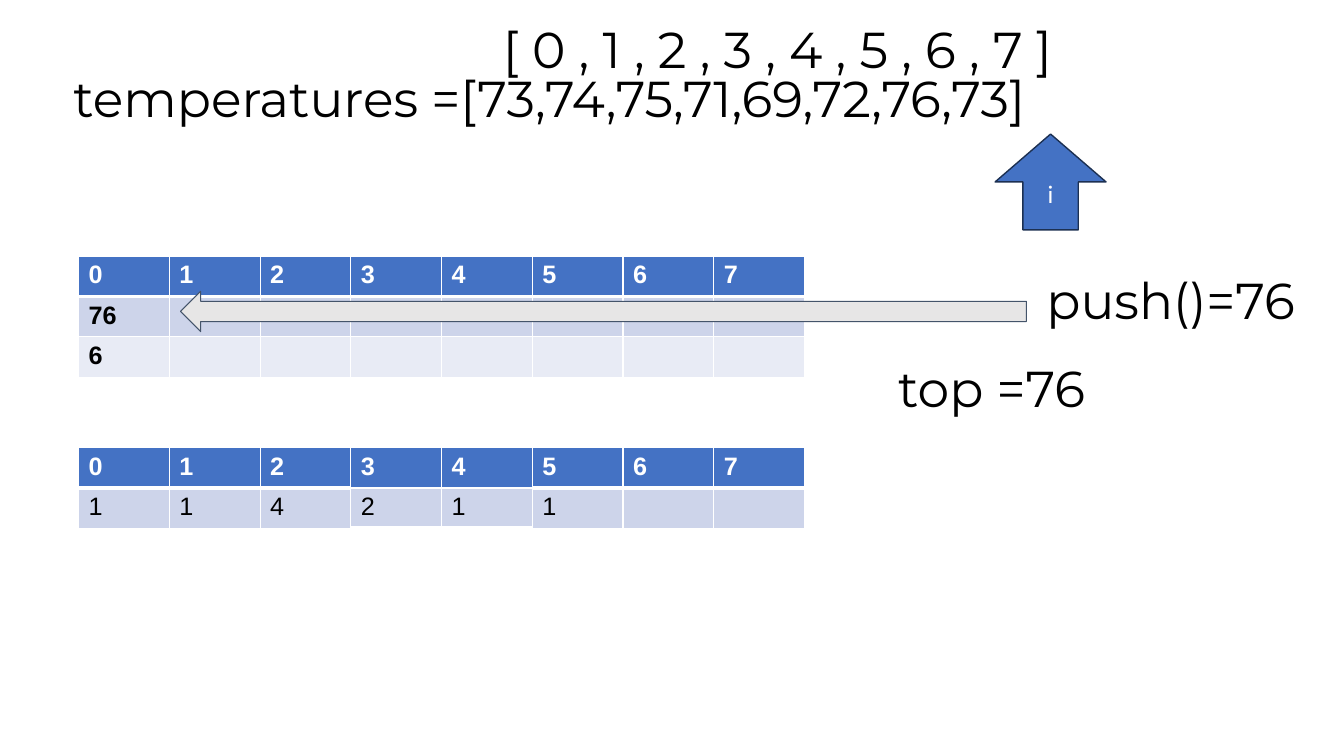
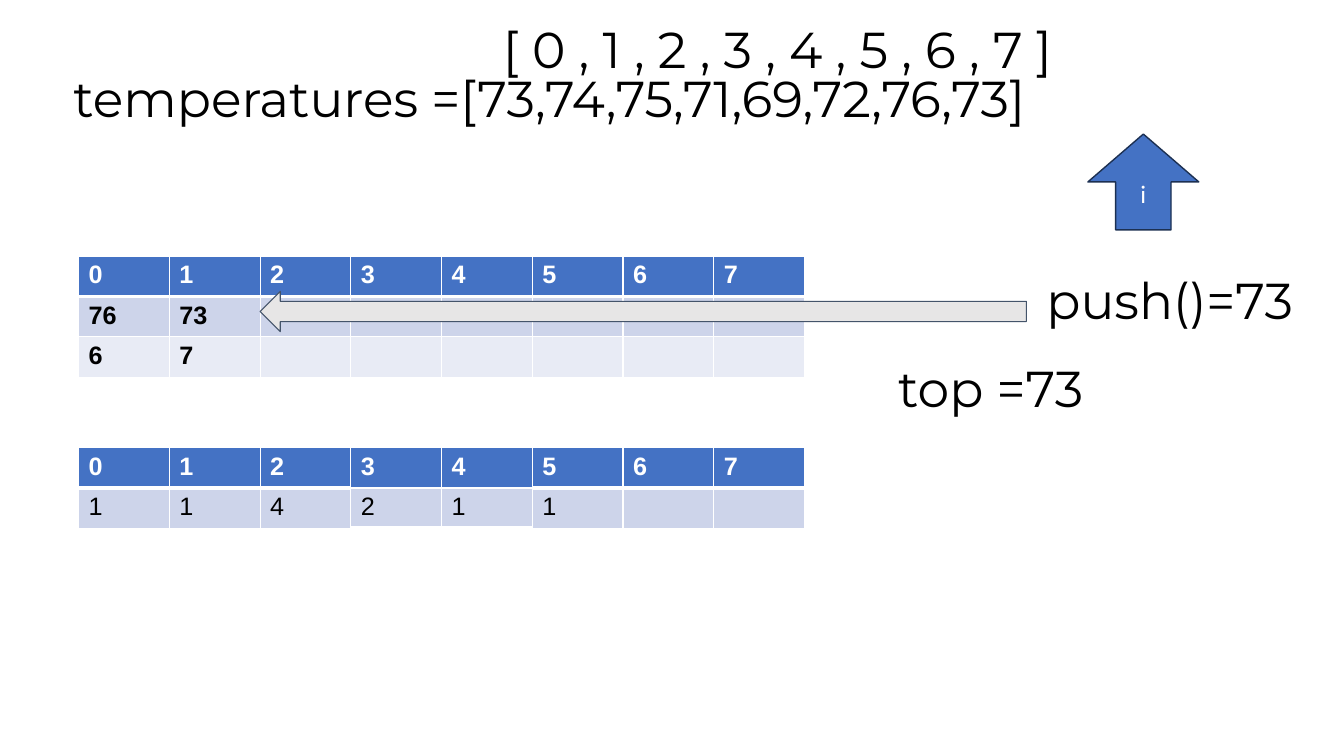
from dataclasses import dataclass

from lxml import etree
from pptx import Presentation
from pptx.dml.color import RGBColor
from pptx.enum.shapes import MSO_SHAPE
from pptx.enum.text import MSO_ANCHOR, PP_ALIGN
from pptx.oxml.ns import qn
from pptx.util import Inches, Pt

UP_ARROW = MSO_SHAPE.UP_ARROW
LEFT_ARROW = MSO_SHAPE.LEFT_ARROW
TOP, MIDDLE = MSO_ANCHOR.TOP, MSO_ANCHOR.MIDDLE
LEFT, CENTER = PP_ALIGN.LEFT, PP_ALIGN.CENTER


@dataclass(frozen=True)
class Theme:
    ink: str = "000000"
    paper: str = "FFFFFF"
    accent: str = "4472C4"
    accent_line: str = "1C3052"
    bands: tuple = ("CDD4EA", "E8EBF5")
    push_fill: str = "E7E6E6"
    push_line: str = "44546A"
    display_font: str = "Montserrat"
    table_font: str = "Arial"
    shape_font: str = "Calibri"
    display_size: int = 36
    body_size: int = 18
    thin: int = 1
    thick: int = 3


THEME = Theme()
COLUMN_COUNT = 8
COLUMN_WIDTH = 0.9
ROW_HEIGHT = 0.39
TABLE_LEFT = 0.78
PUSH_RIGHT = 10.18
INDEXES = [str(index) for index in range(COLUMN_COUNT)]
ANSWERS = ["1", "1", "4", "2", "1", "1"]


def write_text(frame, text, *, font, size, color, bold=False, align=LEFT, spacing=None):
    para = frame.paragraphs[0]
    para.alignment = align
    if spacing:
        para.line_spacing = spacing
    span = para.add_run()
    span.text = text
    span.font.name = font
    span.font.size = Pt(size)
    span.font.bold = bold
    span.font.color.rgb = RGBColor.from_string(color)


def add_display_text(page, text, left, top, width, height, *, inset=0.1, anchor=TOP):
    box = page.shapes.add_textbox(Inches(left), Inches(top), Inches(width), Inches(height))
    frame = box.text_frame
    frame.word_wrap = True
    frame.vertical_anchor = anchor
    frame.margin_top = frame.margin_bottom = Inches(inset)
    write_text(frame, text, font=THEME.display_font, size=THEME.display_size,
               color=THEME.ink, spacing=0.9)


def add_block_arrow(page, kind, left, top, width, height, *, fill, line, weight):
    arrow = page.shapes.add_shape(kind, Inches(left), Inches(top), Inches(width), Inches(height))
    arrow.shadow.inherit = False
    arrow.fill.solid()
    arrow.fill.fore_color.rgb = RGBColor.from_string(fill)
    arrow.line.color.rgb = RGBColor.from_string(line)
    arrow.line.width = Pt(weight)
    return arrow


def add_pointer(page, left, top):
    arrow = add_block_arrow(page, UP_ARROW, left, top, 1.1, 0.95, fill=THEME.accent,
                            line=THEME.accent_line, weight=1)
    arrow.text_frame.vertical_anchor = MIDDLE
    write_text(arrow.text_frame, "i", font=THEME.shape_font, size=THEME.body_size,
               color=THEME.paper, align=CENTER)


def set_borders(cell, bottom):
    properties = cell._tc.get_or_add_tcPr()
    weights = {"lnL": THEME.thin, "lnR": THEME.thin, "lnT": THEME.thin, "lnB": bottom}
    for side, weight in weights.items():
        border = etree.SubElement(properties, qn(f"a:{side}"), w=str(Pt(weight)))
        fill = etree.SubElement(border, qn("a:solidFill"))
        etree.SubElement(fill, qn("a:srgbClr"), val=THEME.paper)


def set_empty_format(cell):
    para = cell.text_frame.paragraphs[0]
    ending = etree.SubElement(para._p, qn("a:endParaRPr"), sz=str(THEME.body_size * 100))
    etree.SubElement(ending, qn("a:latin"), typeface=THEME.table_font)


def add_grid(page, left, top, body, *, bold_body=False, swapped_columns=()):
    rows = [INDEXES, *body]
    table = page.shapes.add_table(len(rows), COLUMN_COUNT, Inches(left), Inches(top),
                                  Inches(COLUMN_WIDTH * COLUMN_COUNT),
                                  Inches(ROW_HEIGHT * len(rows))).table
    table.first_row = table.horz_banding = False
    for column in table.columns:
        column.width = Inches(COLUMN_WIDTH)
    for row_index, values in enumerate(rows):
        table.rows[row_index].height = Inches(ROW_HEIGHT)
        header = row_index == 0
        fill = THEME.accent if header else THEME.bands[(row_index - 1) % 2]
        for column_index in range(COLUMN_COUNT):
            cell = table.cell(row_index, column_index)
            heavy = header != (column_index in swapped_columns)
            set_borders(cell, THEME.thick if heavy else THEME.thin)
            cell.fill.solid()
            cell.fill.fore_color.rgb = RGBColor.from_string(fill)
            if column_index < len(values):
                write_text(cell.text_frame, values[column_index], font=THEME.table_font,
                           size=THEME.body_size, bold=header or bold_body,
                           color=THEME.paper if header else THEME.ink)
            else:
                set_empty_format(cell)


def add_step(deck, stack, pointer_left, push_left):
    page = deck.slides.add_slide(deck.slide_layouts[6])
    pushed = stack[0][-1]
    add_display_text(page, "temperatures =[73,74,75,71,69,72,76,73]",
                     0.63, 0.28, 11.68, 1.45, inset=0.05, anchor=MIDDLE)
    add_grid(page, TABLE_LEFT, 2.54, stack, bold_body=True)
    add_pointer(page, pointer_left, 1.33)
    add_grid(page, TABLE_LEFT, 4.44, [ANSWERS], swapped_columns=(3, 4))
    add_display_text(page, f"top ={pushed}", 8.81, 3.51, 4.24, 0.75)
    add_block_arrow(page, LEFT_ARROW, push_left, 2.89, PUSH_RIGHT - push_left, 0.4,
                    fill=THEME.push_fill, line=THEME.push_line, weight=0.75)
    add_display_text(page, f"push()={pushed}", 10.28, 2.64, 3.28, 0.75)
    add_display_text(page, f"[ {' , '.join(INDEXES)} ]", 4.89, 0.15, 8.23, 0.57)


def main():
    deck = Presentation()
    deck.slide_width = Inches(13.33)
    deck.slide_height = Inches(7.5)
    add_step(deck, [["76"], ["6"]], pointer_left=9.87, push_left=1.79)
    add_step(deck, [["76", "73"], ["6", "7"]], pointer_left=10.79, push_left=2.58)
    deck.save("out.pptx")


if __name__ == "__main__":
    main()
